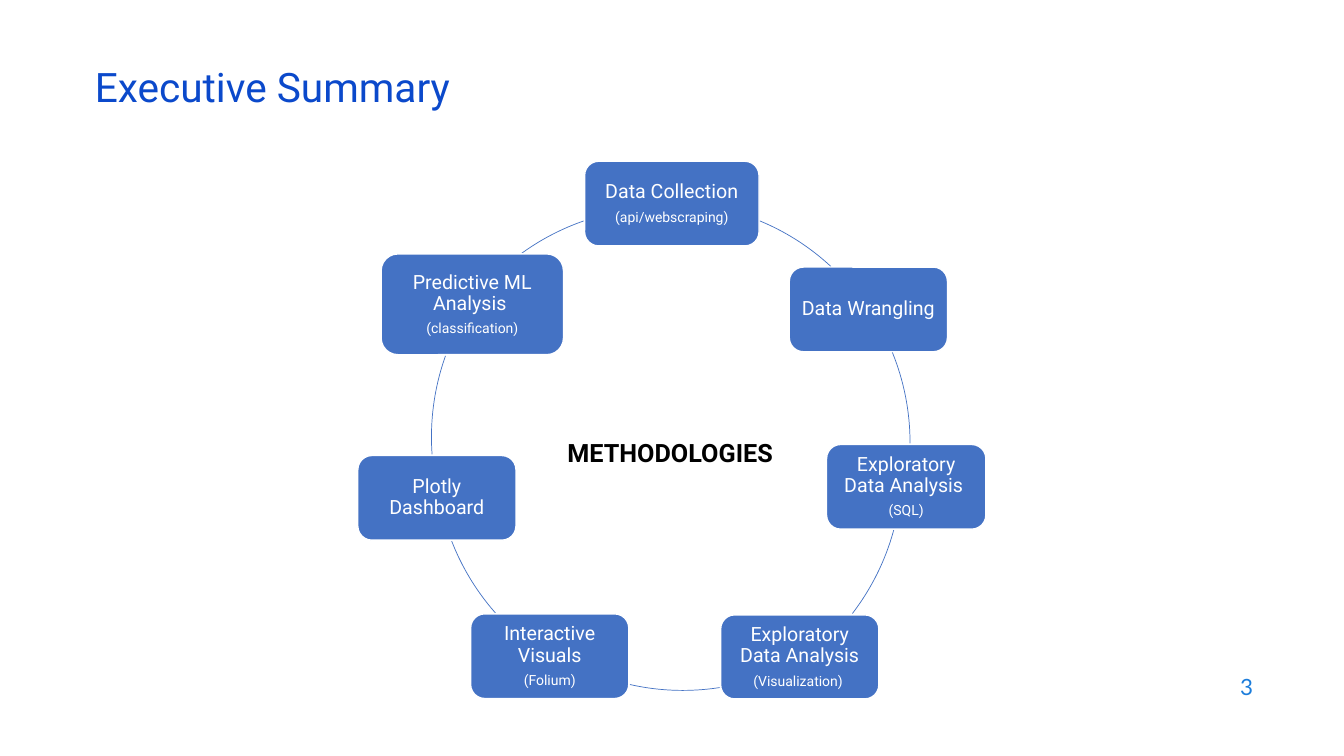
from pptx import Presentation
from pptx.dml.color import RGBColor
from pptx.enum.shapes import MSO_SHAPE as Shape
from pptx.enum.text import MSO_ANCHOR as Anchor, PP_ALIGN as Align
from pptx.util import Pt

BLUE = "4472C4"
WHITE = "FFFFFF"
CIRCLE_SIZE = 343.4

# Text, optional detail, box (left, top, width, height)
STEPS = [
    ("Data Collection", "(api/webscraping)", (417.6, 115.2, 124.6, 60.5)),
    ("Data Wrangling", None, (563.8, 190.8, 113, 60.5)),
    ("Exploratory Data Analysis ", "(SQL)", (590.4, 317.5, 113.8, 60.5)),
    ("Exploratory Data Analysis", "(Visualization) ", (514.8, 439.2, 113, 60)),
    ("Interactive Visuals", "(Folium)", (336.2, 438.5, 113, 60.5)),
    ("Plotly Dashboard", None, (255.6, 325.4, 113, 60.5)),
    ("Predictive ML Analysis ", "(classification)", (272.2, 181.4, 130.3, 72)),
]

# Circle left, circle top, start and end angle in degrees, clockwise from the right
ARCS = [
    (305.3, 144.7, 292.5, 312.8),
    (306.7, 144.7, 337.7, 0.1),
    (301, 162, 14.9, 37.5),
    (316.1, 149.8, 81.2, 102.7),
    (311, 152.6, 138.6, 159),
    (308.2, 140.4, 175.8, 199.7),
    (301.7, 148.3, 233.9, 250.8),
]


def color(value):
    return RGBColor.from_string(value)


def points(*lengths):
    return [Pt(length) for length in lengths]


def style(para, size, hex_color, align=Align.LEFT, font="Roboto", bold=False):
    para.alignment = align
    para.font.name = font
    para.font.size = Pt(size)
    para.font.bold = bold
    para.font.color.rgb = color(hex_color)


def add_title(slide, box):
    title = slide.shapes.title
    title.left, title.top, title.width, title.height = points(*box)
    frame = title.text_frame
    frame.text = "Executive Summary"
    frame.vertical_anchor = Anchor.MIDDLE
    para = frame.paragraphs[0]
    para.line_spacing = 0.9
    style(para, 29, "0B49CB")


def add_label(slide, box, text, anchor, **look):
    frame = slide.shapes.add_textbox(*points(*box)).text_frame
    frame.word_wrap = True
    frame.vertical_anchor = anchor
    frame.text = text
    style(frame.paragraphs[0], **look)


def add_arc(slide, left, top, start, end):
    arc = slide.shapes.add_shape(
        Shape.ARC, *points(left, top, CIRCLE_SIZE, CIRCLE_SIZE))
    # Adjustments count 100000 units, angles 60000 units a degree
    arc.adjustments[0] = start * 0.6
    arc.adjustments[1] = end * 0.6
    arc.shadow.inherit = False
    arc.fill.background()
    arc.line.color.rgb = color(BLUE)
    arc.line.width = Pt(0.5)


def add_step(slide, name, detail, box):
    step = slide.shapes.add_shape(Shape.ROUNDED_RECTANGLE, *points(*box))
    step.shadow.inherit = False
    step.fill.solid()
    step.fill.fore_color.rgb = color(BLUE)
    step.line.color.rgb = color(WHITE)
    step.line.width = Pt(1)
    frame = step.text_frame
    frame.word_wrap = True
    frame.vertical_anchor = Anchor.MIDDLE
    frame.margin_left = frame.margin_right = Pt(4.3)
    frame.margin_top = frame.margin_bottom = Pt(4.3)
    frame.text = f"{name}\n{detail}" if detail else name
    for para, size in zip(frame.paragraphs, (14, 10)):
        para.line_spacing = 0.9
        para.space_after = Pt(size * 0.35)
        style(para, size, WHITE, Align.CENTER)


def add_cycle(slide):
    for arc in ARCS:
        add_arc(slide, *arc)
    for step in STEPS:
        add_step(slide, *step)
    add_label(slide, (398.2, 308.9, 163.4, 28.8), "METHODOLOGIES", Anchor.TOP,
              size=18, hex_color="000000", bold=True)


def main():
    deck = Presentation()
    deck.slide_width, deck.slide_height = points(960, 540)
    slide = deck.slides.add_slide(deck.slide_layouts[5])
    add_title(slide, (60.5, 42.5, 828, 43.2))
    add_cycle(slide)
    add_label(slide, (686.2, 474.5, 216, 31.7), "3", Anchor.MIDDLE,
              size=16, hex_color="1C7DDB", align=Align.RIGHT, font="Lato")
    deck.save("out.pptx")


if __name__ == "__main__":
    main()
